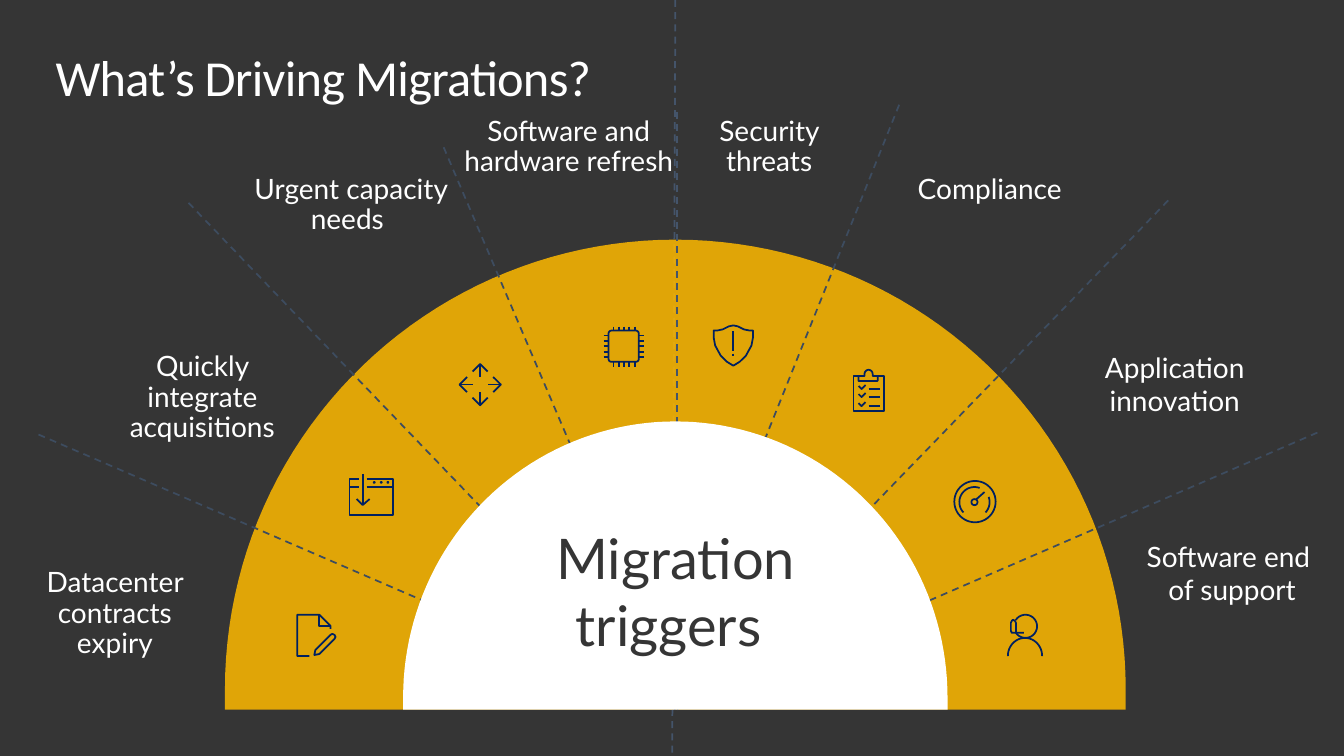
from math import cos, radians, sin

from pptx import Presentation
from pptx import util as u
from pptx.dml.color import RGBColor
from pptx.enum import dml, shapes, text
from pptx.oxml.ns import qn
from pptx.oxml.xmlchemy import OxmlElement

HUES = {
    "back": "353535", "white": "FFFFFF", "gold": "FFB900",
    "navy": "002060", "slate": "44546A", "steel": "3D4C5F",
}
GRID = 0.0254  # cm per icon unit
BASE = 17.88   # foot of both domes, cm
MID = 17.02    # axis of both domes, cm


def hue(name):
    return RGBColor.from_string(HUES[name])


# ---- Kinds of element ----
def write(on, words, x, y, w, h, size=20, font="Lato", color="white",
          align="CENTER", lead=None, after=0, track=0, pads=(0.25, 0.13, 0.25, 0.13)):
    box = on.add_textbox(u.Cm(x), u.Cm(y), u.Cm(w), u.Cm(h))
    frame = box.text_frame
    frame.word_wrap = True
    frame.vertical_anchor = text.MSO_ANCHOR.TOP
    (frame.margin_left, frame.margin_top,
     frame.margin_right, frame.margin_bottom) = [u.Cm(pad) for pad in pads]
    para = frame.paragraphs[0]
    para.text = words
    para.alignment = getattr(text.PP_ALIGN, align)
    para.line_spacing = lead
    para.space_after = u.Pt(after)
    for run in para.runs:
        run.font.size = u.Pt(size)
        run.font.name = font
        run.font.color.rgb = hue(color)
        if track:
            run.font._element.set("spc", str(track))


def ray(on, x1, y1, x2, y2, color="steel"):
    line = on.add_connector(shapes.MSO_CONNECTOR.STRAIGHT,
                            u.Cm(x1), u.Cm(y1), u.Cm(x2), u.Cm(y2))
    line.line.color.rgb = hue(color)
    line.line.width = u.Pt(1.25)
    line.line.dash_style = dml.MSO_LINE.DASH
    line.element.spPr.append(OxmlElement("a:effectLst"))


def trace(on, strokes, x=0, y=0, unit=1):
    """Draw strokes, lists of points, as one freeform."""
    paths = [[(u.Cm(x + a * unit), u.Cm(y + b * unit)) for a, b in stroke]
             for stroke in strokes]
    pen = on.build_freeform(*paths[0][0])
    for i, path in enumerate(paths):
        if i:
            pen.move_to(*path[0])
        pen.add_line_segments(path[1:], close=path[0] == path[-1])
    shape = pen.convert_to_shape()
    shape.shadow.inherit = False
    return shape


def dome(on, y, rx, ry, color, alpha=None):
    rim = arc(MID, y, rx, 180, 360, ry, 90)
    foot = [(MID + rx, BASE), (MID - rx, BASE)]
    shape = trace(on, [rim + foot + rim[:1]])
    shape.fill.solid()
    shape.fill.fore_color.rgb = hue(color)
    shape.line.fill.background()
    if alpha:
        node = OxmlElement("a:alpha")
        node.set("val", str(alpha * 1000))
        shape.element.spPr.find(".//" + qn("a:srgbClr")).append(node)


def icon(on, strokes, x, y):
    shape = trace(on, strokes, x, y, GRID)
    shape.fill.background()
    shape.line.color.rgb = hue("navy")
    shape.line.width = u.Pt(1.25)


# ---- Icon outlines, in grid units ----
def arc(x, y, rx, start=0, end=360, ry=None, steps=24):
    turns = [radians(start + (end - start) * i / steps) for i in range(steps + 1)]
    pts = [(x + rx * cos(t), y + (ry or rx) * sin(t)) for t in turns]
    return pts[:-1] + pts[:1] if end - start == 360 else pts


def page():
    return [[(33, 11), (22, 11), (22, 0)],
            [(33, 14), (33, 11), (22, 0), (0, 0), (0, 41), (12, 41)],
            [(17, 40), (22, 39), (37, 24), (38, 22), (37, 20), (35, 19),
             (33, 20), (18, 35), (17, 40)]]


def window():
    dots = [arc(x, 8.5, 0.5, steps=8) for x in (24.5, 31.5, 38)]
    return [[(17, 5), (43, 5), (43, 41), (0, 41), (0, 5), (9, 5)],
            [(17, 13), (43, 13)], [(0, 13), (9, 13)],
            [(7, 25), (13, 31), (20, 25)], [(13, 0), (13, 31)]] + dots


def arrows():
    part = [[(13, 7.5), (20.5, 0), (28, 7.5)], [(20.5, 1), (20.5, 13)]]
    out = []
    for _ in range(4):
        out += part
        part = [[(41 - b, a) for a, b in stroke] for stroke in part]
    return out


def chip():
    body = (arc(8, 7, 3, 180, 270) + arc(32, 7, 3, 270, 360)
            + arc(32, 32, 3, 0, 90) + arc(8, 32, 3, 90, 180))
    out = [body + body[:1]]
    for x, y in zip((10, 15, 20, 25, 31), (9, 14, 19, 25, 30)):
        out += [[(x, 0), (x, 4)], [(x, 35), (x, 40)],
                [(0, y), (5, y)], [(35, y), (40, y)]]
    return out


def shield():
    half = [(20.5, 0), (25, 1), (31, 4), (36, 5), (40, 5), (40, 12),
            (38.5, 20), (33, 30), (27, 36), (20.5, 40)]
    flip = [(41 - x, y) for x, y in reversed(half)]
    return [half + flip[1:], [(20.5, 6), (20.5, 25)], [(20.5, 28), (20.5, 30)]]


def board():
    clip = arc(15, 4, 4, 180, 360) + [(19, 6), (24, 6), (24, 11), (5, 11), (5, 6), (11, 6)]
    out = [clip + clip[:1], [(5, 6), (0, 6), (0, 41), (30, 41), (30, 6), (24, 6)]]
    for y in (19, 27, 36):
        out += [[(15, y), (26, y)], [(5, y - 3), (8, y), (12, y - 4)]]
    return out


def gauge():
    return [arc(20.5, 20.5, 20.5, steps=48), arc(20, 21, 3), arc(20, 21, 15, -20, 43),
            arc(20, 21, 15, 137, 290), [(30, 11), (22, 18)]]


def agent():
    return [arc(17, 41, 17, 180, 360, 18), arc(17.5, 11.5, 11.5, -147, 147),
            [(8, 18), (8, 8), (7, 6), (5, 5), (4, 6), (3, 8), (3, 16),
             (4, 18), (5, 18), (16, 18)]]


# ---- Content: label, its box, line spacing, icon, its place ----
CAUSES = [
    ("Quickly integrate acquisitions", (2.34, 8.76, 5.26, 2.57), 0.9, window, (8.81, 11.94)),
    ("Urgent capacity needs ", (5.87, 4.29, 5.69, 1.8), 0.9, arrows, (11.58, 9.17)),
    ("Software and hardware refresh", (11.18, 2.82, 6.05, 1.8), 0.9, chip, (15.21, 8.23)),
    ("Security threats", (16.64, 2.82, 5.23, 1.8), 0.9, shield, (17.96, 8.2)),
    ("Compliance ", (21.64, 4.29, 6.53, 1.93), 0.9, board, (21.51, 9.32)),
    ("Application innovation", (25.93, 8.69, 7.09, 1.96), None, gauge, (24.05, 12.12)),
    ("Software end \vof support", (27.91, 13.46, 6.02, 1.96), None, agent, (25.4, 15.49)),
    ("Datacenter contracts expiry", (-0.08, 14.2, 5.69, 1.8), 0.9, page, (7.49, 15.49)),
]
RAYS = [
    (0.97, 10.95, MID, BASE), (4.75, 5.11, MID, BASE), (33.2, 10.9, 17.07, BASE),
    (22.66, 2.64, MID, 16.69), (17.07, 2.82, 17.07, BASE, "slate"),
    (11.18, 3.71, 16.71, 16.69), (29.44, 5.05, MID, BASE),
]


def main():
    deck = Presentation()
    deck.slide_width, deck.slide_height = u.Cm(33.87), u.Cm(19.05)
    slide = deck.slides.add_slide(deck.slide_layouts[6])
    slide.background.fill.solid()
    slide.background.fill.fore_color.rgb = hue("back")
    on = slide.shapes

    # Axis and title
    ray(on, MID, 0, 16.94, 19.05, "slate")
    write(on, "What’s Driving Migrations?", 1.4, 1.17, 30.61, 1.55, size=36,
          font="Calibri", align="LEFT", track=-50, pads=(0, 0, 0, 0))

    # Domes with the rays between them
    dome(on, 17.37, 11.35, 11.33, "gold", alpha=85)
    for ends in RAYS:
        ray(on, *ends)
    dome(on, 17.58, 6.86, 6.96, "white")
    write(on, "Migration triggers ", 13.31, 13.06, 7.44, 1.57, size=40, color="back")

    # Causes around the rim
    for words, box, lead, draw, spot in CAUSES:
        group = on.add_group_shape().shapes
        write(group, words, *box, lead=lead, after=8.2, pads=(0.51, 0.13, 0.25, 0.13))
        icon(group, draw(), *spot)

    deck.save("out.pptx")


if __name__ == "__main__":
    main()
